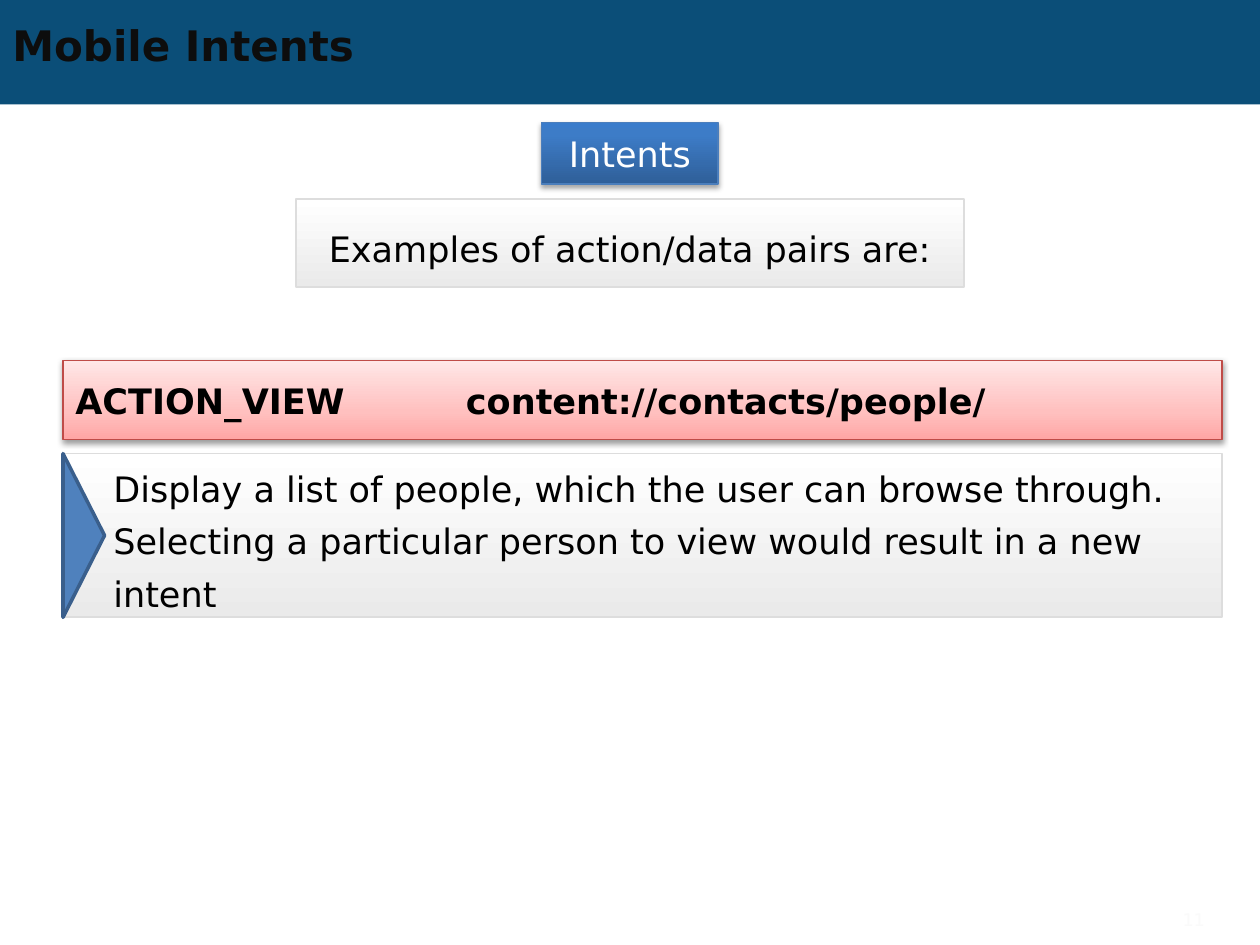
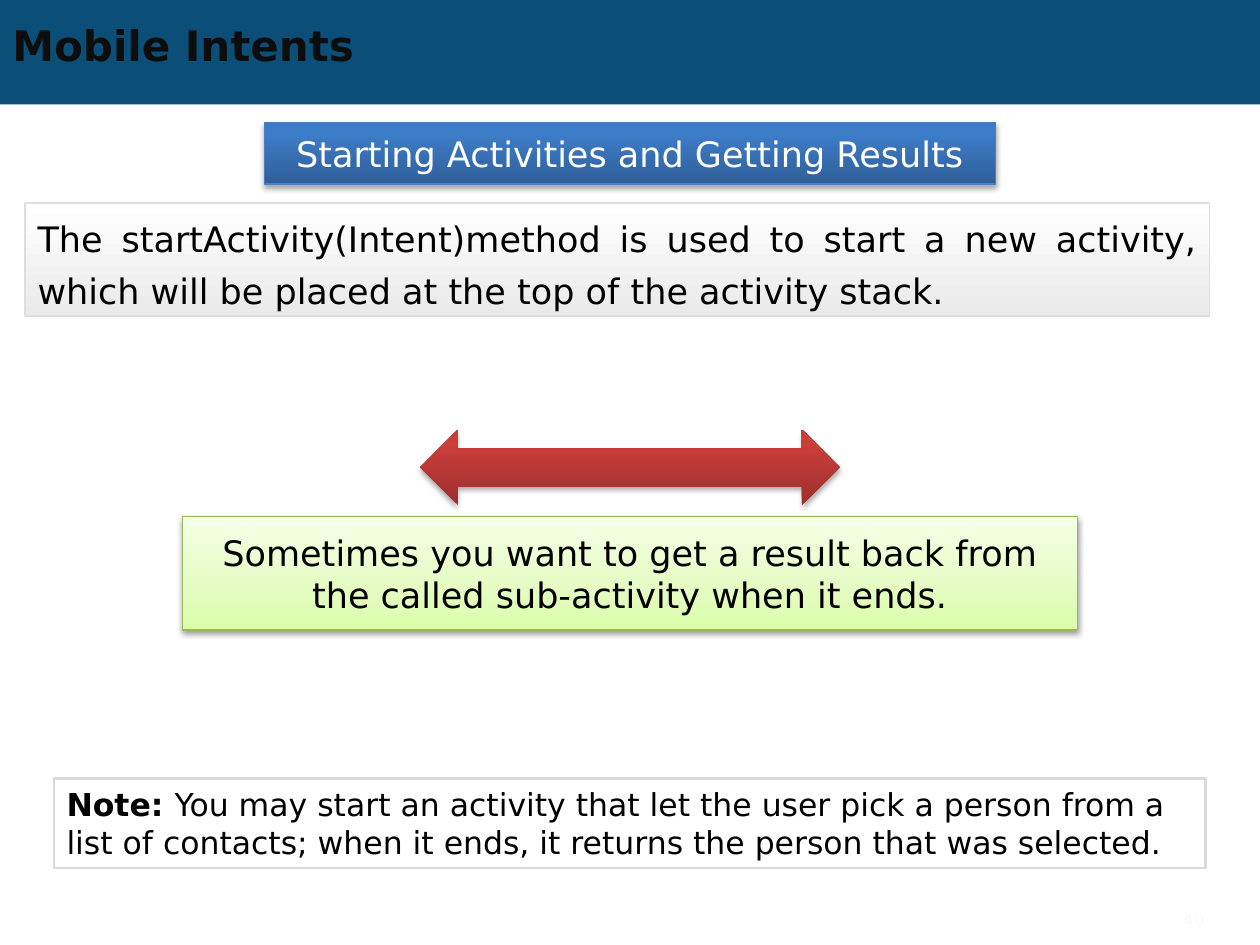
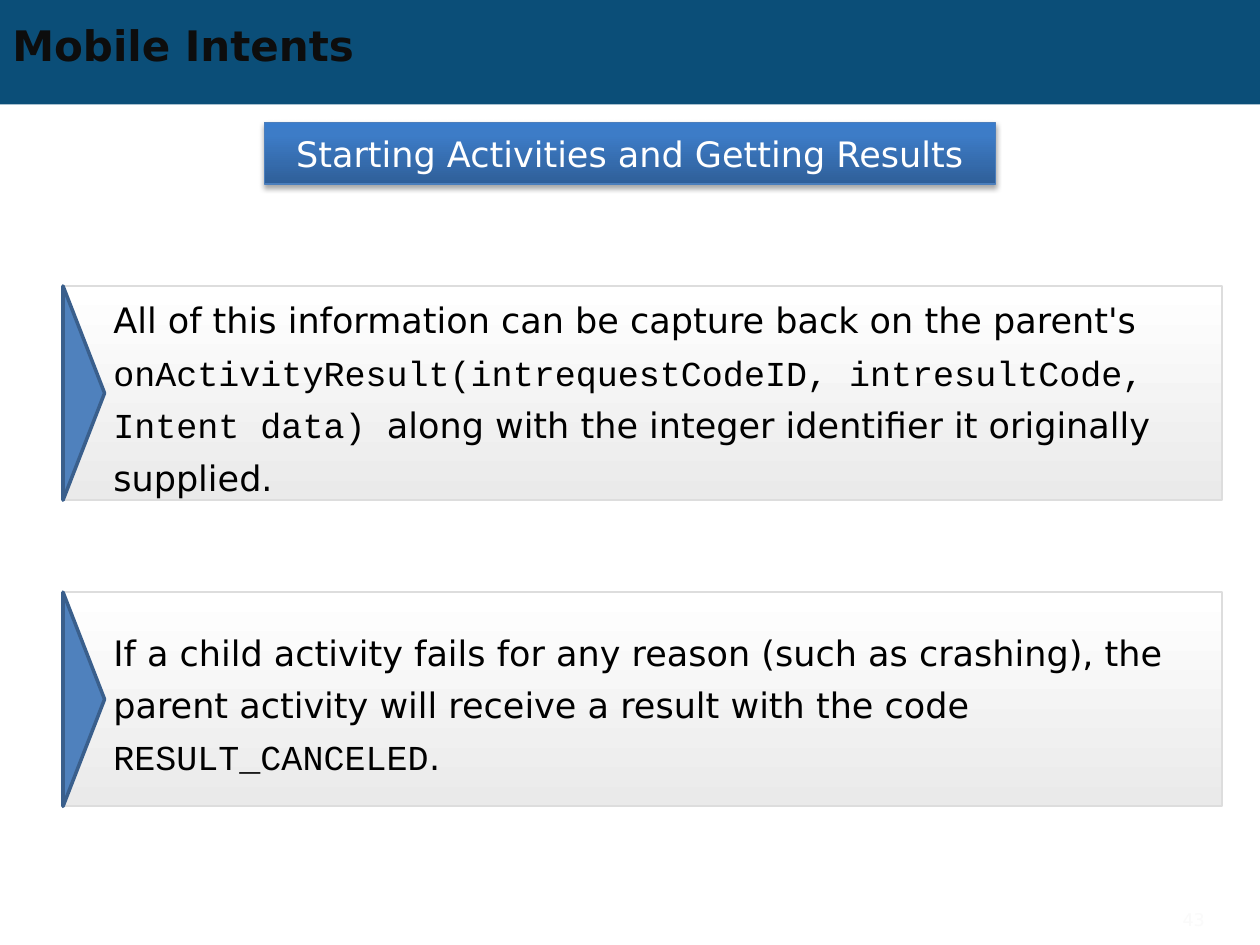
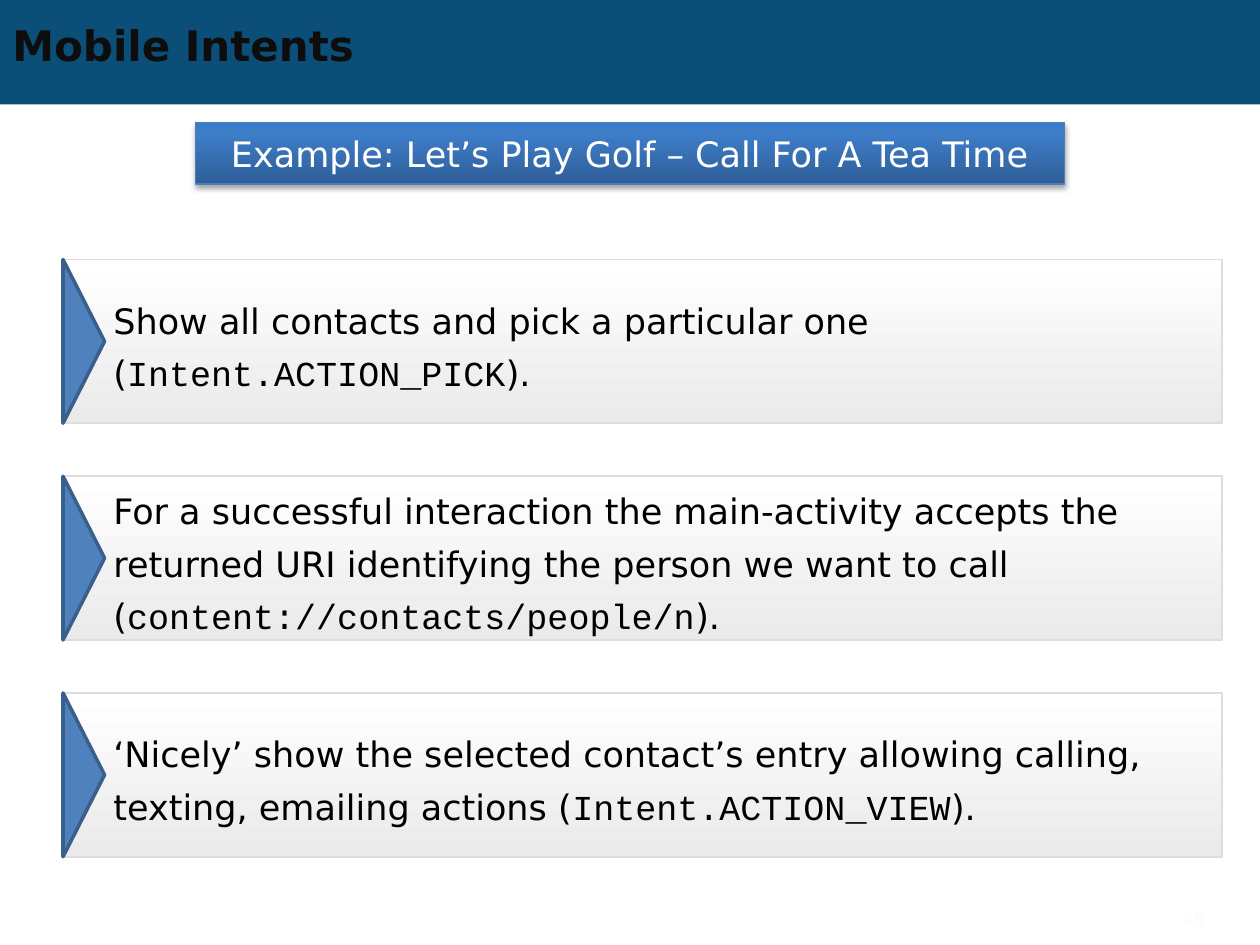
from lxml import etree
from pptx import Presentation
from pptx.dml.color import RGBColor
from pptx.enum.shapes import MSO_SHAPE
from pptx.enum.text import MSO_ANCHOR, PP_ALIGN
from pptx.oxml.ns import qn
from pptx.util import Inches, Pt

RECT, TRIANGLE = MSO_SHAPE.RECTANGLE, MSO_SHAPE.ISOSCELES_TRIANGLE
DOUBLE_ARROW = MSO_SHAPE.LEFT_RIGHT_ARROW
MIDDLE, TOP = MSO_ANCHOR.MIDDLE, MSO_ANCHOR.TOP
LEFT, CENTER, JUSTIFY, RIGHT = PP_ALIGN.LEFT, PP_ALIGN.CENTER, PP_ALIGN.JUSTIFY, PP_ALIGN.RIGHT

# Shared look
SANS, MONO = "DejaVu Sans", "Courier New"
BAND = RGBColor(0x0B, 0x4E, 0x78)
TITLE_INK = RGBColor(0x0D, 0x0D, 0x0D)
BLACK = RGBColor(0x00, 0x00, 0x00)
WHITE = RGBColor(0xFF, 0xFF, 0xFF)
FAINT = RGBColor(0xFA, 0xFA, 0xFA)
MARKER = RGBColor(0x4F, 0x81, 0xBD)
MARKER_EDGE = RGBColor(0x3A, 0x5F, 0x8C)

# Style: gradient stops from bottom to top, line (colour, width), shadow (alpha %, distance)
STRONG_SHADOW, SOFT_SHADOW = (35, 1.8), (38, 1.6)
HEADING = dict(stops=[(0, "2F5F99"), (80, "3D7CC7"), (100, "3A7CCB")],
               line=(RGBColor(0x4B, 0x7E, 0xBC), 0.75), shadow=STRONG_SHADOW)
PANEL = dict(stops=[(0, "EAEAEA"), (100, "FFFFFF")],
             line=(RGBColor(0xDD, 0xDD, 0xDD), 1))
PINK = dict(stops=[(0, "FFA6A5"), (35, "FFC0BF"), (100, "FFE7E7")],
            line=(RGBColor(0xBF, 0x4C, 0x48), 0.75), shadow=SOFT_SHADOW)
GREEN = dict(stops=[(0, "DAFDA7"), (35, "E4FCC2"), (100, "F5FFE7")],
             line=(RGBColor(0x98, 0xB9, 0x55), 0.75), shadow=SOFT_SHADOW)
RED = dict(stops=[(0, "9C2F2D"), (80, "CB3E3A"), (100, "CE3B37")],
           shadow=STRONG_SHADOW)
OUTLINE = dict(line=(RGBColor(0xD9, 0xD9, 0xD9), 1.5))
SOLID_BAND = dict(fill=BAND)
SOLID_MARKER = dict(fill=MARKER, line=(MARKER_EDGE, 2))

# Content; a span is plain text or (text, "code" / "bold")
TITLE = "Mobile Intents"
RESULTS = "Starting Activities and Getting Results"
SLIDES = [
    dict(number="11", heading="Intents", heading_width=1.4,
         first=3.6, height=1.3, pitch=0,
         points=[["Display a list of people, which the user can browse through. "
                  "Selecting a particular person to view would result in a new intent"]]),
    dict(number="40", heading=RESULTS, heading_width=5.8, points=[]),
    dict(number="43", heading=RESULTS, heading_width=5.8,
         first=2.27, height=1.7, pitch=2.43,
         points=[
             ["All of this information can be capture back on the parent's ",
              ("onActivityResult(intrequestCodeID, intresultCode, Intent data) ", "code"),
              "along with the integer identifier it originally supplied."],
             ["If a child activity fails for any reason (such as crashing), the parent "
              "activity will receive a result with the code ",
              ("RESULT_CANCELED", "code"), "."]]),
    dict(number="45", heading="Example: Let’s Play Golf – Call For A Tea Time",
         heading_width=6.9, first=2.06, height=1.3, pitch=1.72,
         points=[
             ["Show all contacts and pick a particular one (",
              ("Intent.ACTION_PICK", "code"), ")."],
             ["For a successful interaction the main-activity accepts the returned URI "
              "identifying the person we want to call (",
              ("content://contacts/people/n", "code"), ")."],
             ["‘Nicely’ show the selected contact’s entry allowing calling, texting, "
              "emailing actions (", ("Intent.ACTION_VIEW", "code"), ")."]]),
]
PAIRS_LABEL = ["Examples of action/data pairs are:"]
PAIR = ["ACTION_VIEW\tcontent://contacts/people/"]
START = ["The startActivity(Intent)method is used to start a new activity, "
         "which will be placed at the top of the activity stack."]
RESULT_BACK = ["Sometimes you want to get a result back from the called "
               "sub-activity when it ends."]
NOTE = [("Note: ", "bold"),
        "You may start an activity that let the user pick a person from a list of "
        "contacts; when it ends, it returns the person that was selected."]

# Grid, in inches
WIDTH, HEIGHT = 10, 7.5
POINT_LEFT, POINT_WIDTH, MARKER_DEPTH = 0.5, 9.2, 0.33
PAIR_TAB = 3.1


def add_child(parent, tag, **attributes):
    child = etree.SubElement(parent, qn(tag))
    for name, value in attributes.items():
        child.set(name, str(value))
    return child


def centered(top, width, height):
    return (WIDTH - width) / 2, top, width, height


def paint(shape, fill=None, stops=None, line=None, shadow=None):
    shape.shadow.inherit = False
    if stops:
        shape.fill.gradient()
        shape.fill.gradient_angle = 90
        stop_list = shape._element.spPr.find(".//" + qn("a:gsLst"))
        stop_list[:] = []
        for position, color in stops:
            stop = add_child(stop_list, "a:gs", pos=position * 1000)
            add_child(stop, "a:srgbClr", val=color)
    elif fill is not None:
        shape.fill.solid()
        shape.fill.fore_color.rgb = fill
    else:
        shape.fill.background()
    if line:
        shape.line.color.rgb, shape.line.width = line[0], Pt(line[1])
    else:
        shape.line.fill.background()
    if shadow:
        alpha, distance = shadow
        effects = shape._element.spPr.find(qn("a:effectLst"))
        outer = add_child(effects, "a:outerShdw", blurRad=Pt(3.1), dist=Pt(distance),
                          dir=90 * 60000, rotWithShape=0)
        color = add_child(outer, "a:srgbClr", val="000000")
        add_child(color, "a:alpha", val=alpha * 1000)


def add_block(shapes, kind, place, style):
    shape = shapes.add_shape(kind, *map(Inches, place))
    paint(shape, **style)
    return shape


def write(shape, spans, size=20, color=BLACK, bold=False, align=LEFT,
          anchor=MIDDLE, spacing=None, insets=(0.1, 0.05), tab=None):
    frame = shape.text_frame
    frame.word_wrap = True
    frame.vertical_anchor = anchor
    frame.margin_left, frame.margin_right = Inches(insets[0]), Inches(0.1)
    frame.margin_top = frame.margin_bottom = Inches(insets[1])
    para = frame.paragraphs[0]
    para.alignment = align
    if spacing:
        para.line_spacing = Pt(spacing)
    if tab:
        tabs = add_child(para._p.get_or_add_pPr(), "a:tabLst")
        add_child(tabs, "a:tab", pos=Inches(tab), algn="l")
    font = para.font
    font.size, font.bold, font.color.rgb = Pt(size), bold, color
    for span in spans:
        text, role = (span, "") if isinstance(span, str) else span
        run = para.add_run()
        run.text = text
        run.font.name = MONO if role == "code" else SANS
        if role == "bold":
            run.font.bold = True


def add_text(page, place, spans, **options):
    write(page.shapes.add_textbox(*map(Inches, place)), spans, **options)


def add_point(page, top, height, spans):
    """Grey panel with a blue marker pointing into it."""
    group = page.shapes.add_group_shape().shapes
    panel = add_block(group, RECT, (POINT_LEFT, top, POINT_WIDTH, height), PANEL)
    write(panel, spans, spacing=30, insets=(0.4, 0))
    # The marker is turned a quarter, so its width runs along the panel's height
    left = POINT_LEFT + (MARKER_DEPTH - height) / 2
    marker = add_block(group, TRIANGLE,
                       (left, top + (height - MARKER_DEPTH) / 2, height, MARKER_DEPTH),
                       SOLID_MARKER)
    marker.rotation = 90


def add_page(deck, content):
    page = deck.slides.add_slide(deck.slide_layouts[6])
    add_block(page.shapes, RECT, (0, 0, WIDTH, 0.83), SOLID_BAND)
    add_text(page, (0, 0.14, 9, 0.43), [TITLE], size=24, color=TITLE_INK, bold=True)
    heading = add_block(page.shapes, RECT,
                        centered(0.97, content["heading_width"], 0.49), HEADING)
    write(heading, [content["heading"]], color=WHITE, align=CENTER)
    for index, spans in enumerate(content["points"]):
        add_point(page, content["first"] + index * content["pitch"],
                  content["height"], spans)
    add_text(page, (8.66, 7.1, 1, 0.4), [content["number"]], size=10,
             color=FAINT, align=RIGHT)
    return page


def add_pairs(page):
    label = add_block(page.shapes, RECT, centered(1.58, 5.3, 0.7), PANEL)
    write(label, PAIRS_LABEL, align=CENTER, spacing=30)
    pair = add_block(page.shapes, RECT, (POINT_LEFT, 2.86, POINT_WIDTH, 0.63), PINK)
    write(pair, PAIR, bold=True, tab=PAIR_TAB)


def add_results(page):
    start = add_block(page.shapes, RECT, (0.2, 1.61, 9.4, 0.9), PANEL)
    write(start, START, align=JUSTIFY, spacing=30)
    add_block(page.shapes, DOUBLE_ARROW, centered(3.41, 3.33, 0.6), RED)
    answer = add_block(page.shapes, RECT, centered(4.1, 7.1, 0.9), GREEN)
    write(answer, RESULT_BACK, align=CENTER)
    note = add_block(page.shapes, RECT, centered(6.18, 9.14, 0.71), OUTLINE)
    write(note, NOTE, size=18, anchor=TOP)


def main():
    deck = Presentation()
    deck.slide_width, deck.slide_height = Inches(WIDTH), Inches(HEIGHT)
    pages = [add_page(deck, content) for content in SLIDES]
    add_pairs(pages[0])
    add_results(pages[1])
    deck.save("out.pptx")


if __name__ == "__main__":
    main()
